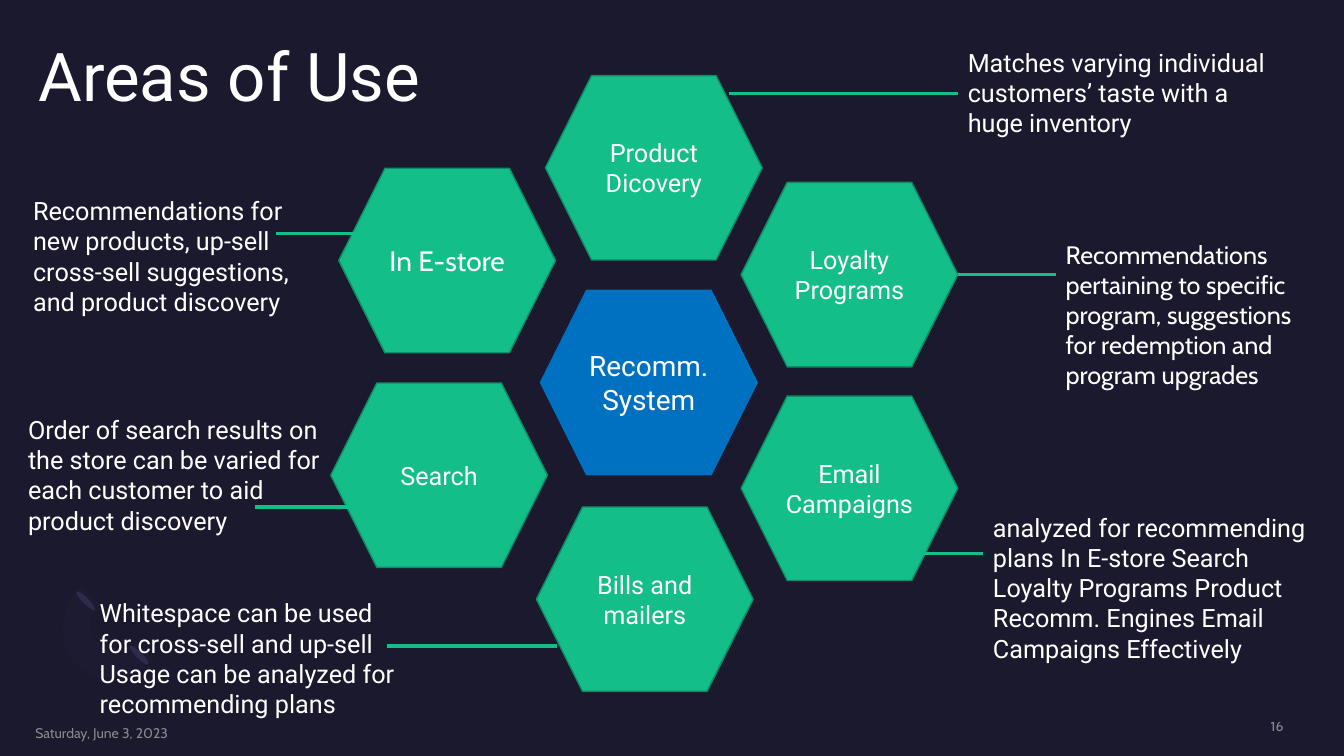
from dataclasses import dataclass

from lxml import etree
from pptx import Presentation
from pptx.dml.color import RGBColor
from pptx.enum.shapes import MSO_CONNECTOR, MSO_SHAPE
from pptx.enum.text import MSO_ANCHOR, MSO_AUTO_SIZE, PP_ALIGN
from pptx.oxml.ns import qn
from pptx.util import Inches, Pt

HEXAGON, ELLIPSE = MSO_SHAPE.HEXAGON, MSO_SHAPE.OVAL
STRAIGHT = MSO_CONNECTOR.STRAIGHT
TOP, MIDDLE = MSO_ANCHOR.TOP, MSO_ANCHOR.MIDDLE
LEFT, CENTER, RIGHT = PP_ALIGN.LEFT, PP_ALIGN.CENTER, PP_ALIGN.RIGHT
GROW, FIXED = MSO_AUTO_SIZE.SHAPE_TO_FIT_TEXT, MSO_AUTO_SIZE.NONE


@dataclass(frozen=True)
class Theme:
    background: str = "1B192E"
    text: str = "FFFFFF"
    muted: str = "A6A6A6"
    green: str = "13BE89"
    green_edge: str = "0E8D65"
    blue: str = "0070C0"
    ring_cap: str = "2C284A"
    ring_arc: str = "7771B2"
    main_font: str = "Roboto"
    second_font: str = "Cabin"
    title_size: int = 48
    large_size: int = 20
    body_size: int = 18
    small_size: int = 10


THEME = Theme()


@dataclass(frozen=True)
class Box:
    left: float
    top: float
    width: float
    height: float

    def inches(self):
        return [Inches(v) for v in (self.left, self.top, self.width, self.height)]


def rgb(value):
    return RGBColor.from_string(value)


def set_opacity(element, percent):
    for color in element.iter(qn("a:srgbClr")):
        etree.SubElement(color, qn("a:alpha"), val=str(percent * 1000))


def write_text(shape, text, size=THEME.body_size, font=THEME.main_font,
               color=THEME.text, align=LEFT, anchor=TOP, inset=None,
               spacing=None, opacity=None, fit=FIXED):
    frame = shape.text_frame
    frame.word_wrap = True
    frame.auto_size = fit
    frame.vertical_anchor = anchor
    if inset is not None:
        frame.margin_left = frame.margin_right = Inches(inset)
        frame.margin_top = frame.margin_bottom = Inches(inset)
    para = frame.paragraphs[0]
    para.alignment = align
    if spacing:
        para.line_spacing = spacing
    span = para.add_run()
    span.text = text
    span.font.size = Pt(size)
    span.font.name = font
    span.font.color.rgb = rgb(color)
    if opacity:
        set_opacity(span.font.color._color._xClr.getparent(), opacity)


def paint(shape, fill, edge=None):
    shape.shadow.inherit = False
    shape.fill.solid()
    shape.fill.fore_color.rgb = rgb(fill)
    if edge:
        shape.line.color.rgb = rgb(edge)
        shape.line.width = Pt(1)
    else:
        shape.line.fill.background()


def bezier(start, first, second, end, steps=12):
    """Points along a cubic curve, without its start."""
    for step in range(1, steps + 1):
        t = step / steps
        weights = (1 - t) ** 3, 3 * t * (1 - t) ** 2, 3 * t * t * (1 - t), t ** 3
        yield tuple(sum(w * p[axis] for w, p in zip(weights, (start, first, second, end)))
                    for axis in (0, 1))


def draw_ornament(page, box):
    # Two end caps
    for dx, dy in ((0.79, 0.55), (0.26, 0.01)):
        cap = page.shapes.add_shape(
            ELLIPSE, *Box(box.left + dx, box.top + dy, 0.06, 0.26).inches())
        cap.rotation = 135
        paint(cap, THEME.ring_cap)
    # Faint arc between them
    outer = [(0.2, 0.77), (0, 0.57), (0.02, 0.23), (0.25, 0)]
    inner = [(0.43, 0.18), (0.31, 0.29), (0.3, 0.47), (0.4, 0.56)]
    inner_end = [(0.4, 0.56), (0.5, 0.66), (0.67, 0.65), (0.79, 0.54)]
    outer_end = [(0.96, 0.72), (0.74, 0.94), (0.39, 0.97), (0.2, 0.77)]
    points = [*bezier(*outer), inner[0], *bezier(*inner), *bezier(*inner_end),
              outer_end[0], *bezier(*outer_end)]
    placed = [(Inches(box.left + x), Inches(box.top + y)) for x, y in points]
    start = (Inches(box.left + outer[0][0]), Inches(box.top + outer[0][1]))
    builder = page.shapes.build_freeform(*start)
    builder.add_line_segments(placed, close=True)
    arc = builder.convert_to_shape()
    paint(arc, THEME.ring_arc)
    set_opacity(arc.fill._xPr, 3)


def draw_title(page, box, text):
    title = page.shapes.title
    title.left, title.top, title.width, title.height = box.inches()
    write_text(title, text, size=THEME.title_size, inset=0, spacing=0.9)


def draw_hexagons(page, box):
    areas = [  # label, offset across, offset down
        ("Loyalty Programs", 4.07, 1.06),
        ("Email Campaigns", 4.07, 3.18),
        ("Bills and mailers", 2.04, 4.28),
        ("Search", 0, 3.05),
        ("In E-store", 0.08, 0.92),
        ("Product Dicovery", 2.13, 0),
        ("Recomm. System", 2.08, 2.13),
    ]
    hub, second = "Recomm. System", "In E-store"
    for label, dx, dy in areas:
        cell = page.shapes.add_shape(
            HEXAGON, *Box(box.left + dx, box.top + dy, 2.15, 1.83).inches())
        if label == hub:
            paint(cell, THEME.blue, THEME.blue)
        else:
            paint(cell, THEME.green, THEME.green_edge)
        write_text(cell, label, align=CENTER, anchor=MIDDLE,
                   size=THEME.large_size if label in (hub, second) else THEME.body_size,
                   font=THEME.second_font if label == second else THEME.main_font)


def draw_callout(page, box, text, lead, font=THEME.main_font, weight=2.25):
    note = page.shapes.add_textbox(*box.inches())
    write_text(note, text, font=font, fit=GROW)
    # Lead line: start and end across, then distance down, from the box corner
    start, end, down = lead
    level = Inches(box.top + down)
    line = page.shapes.add_connector(
        STRAIGHT, Inches(box.left + start), level, Inches(box.left + end), level)
    line.line.color.rgb = rgb(THEME.green)
    line.line.width = Pt(weight)
    etree.SubElement(line._element.spPr, qn("a:effectLst"))


def draw_footer_text(page, box, text, align):
    footer = page.shapes.add_textbox(*box.inches())
    write_text(footer, text, size=THEME.small_size, font=THEME.second_font,
               color=THEME.muted, opacity=80, align=align, anchor=MIDDLE, inset=0)


def draw_areas_page(deck):
    page = deck.slides.add_slide(deck.slide_layouts[5])
    page.background.fill.solid()
    page.background.fill.fore_color.rgb = rgb(THEME.background)

    draw_ornament(page, Box(0.56, 5.82, 0.96, 0.97))
    draw_title(page, Box(0.38, 0.43, 12.36, 0.6), "Areas of Use")
    draw_hexagons(page, Box(3.28, 0.75, 6.22, 6.11))

    # Callouts on the left
    draw_callout(page, Box(0.23, 1.89, 2.77, 1.31),
                 "Recommendations for new products, up-sell cross-sell suggestions, "
                 "and product discovery", (3.36, 2.51, 0.43))
    draw_callout(page, Box(0.18, 4.06, 3.1, 1.31),
                 "Order of search results on the store can be varied for each customer "
                 "to aid product discovery", (3.31, 2.35, 0.97))
    draw_callout(page, Box(0.89, 5.88, 3.28, 1.31),
                 "Whitespace can be used for cross-sell and up-sell Usage can be analyzed "
                 "for recommending plans", (4.63, 2.95, 0.53), weight=2.5)
    # Callouts on the right
    draw_callout(page, Box(9.75, 5.03, 3.39, 1.62),
                 "analyzed for recommending plans In E-store Search Loyalty Programs "
                 "Product Recomm. Engines Email Campaigns Effectively", (-0.59, 0, 0.46))
    draw_callout(page, Box(10.47, 2.32, 2.48, 1.62),
                 "Recommendations pertaining to specific program, suggestions for "
                 "redemption and program upgrades", (-0.97, 0, 0.4), font=THEME.second_font)
    draw_callout(page, Box(9.5, 0.42, 3.39, 1.01),
                 "Matches varying individual customers’ taste with a huge inventory",
                 (-2.27, 0, 0.51), weight=2.5)

    # Footer
    draw_footer_text(page, Box(0.35, 7.19, 2.88, 0.17), "Saturday, June 3, 2023", LEFT)
    draw_footer_text(page, Box(10.88, 7.12, 1.85, 0.17), "16", RIGHT)


def main():
    deck = Presentation()
    deck.slide_width, deck.slide_height = Inches(13.33), Inches(7.5)
    draw_areas_page(deck)
    deck.save("out.pptx")


if __name__ == "__main__":
    main()
